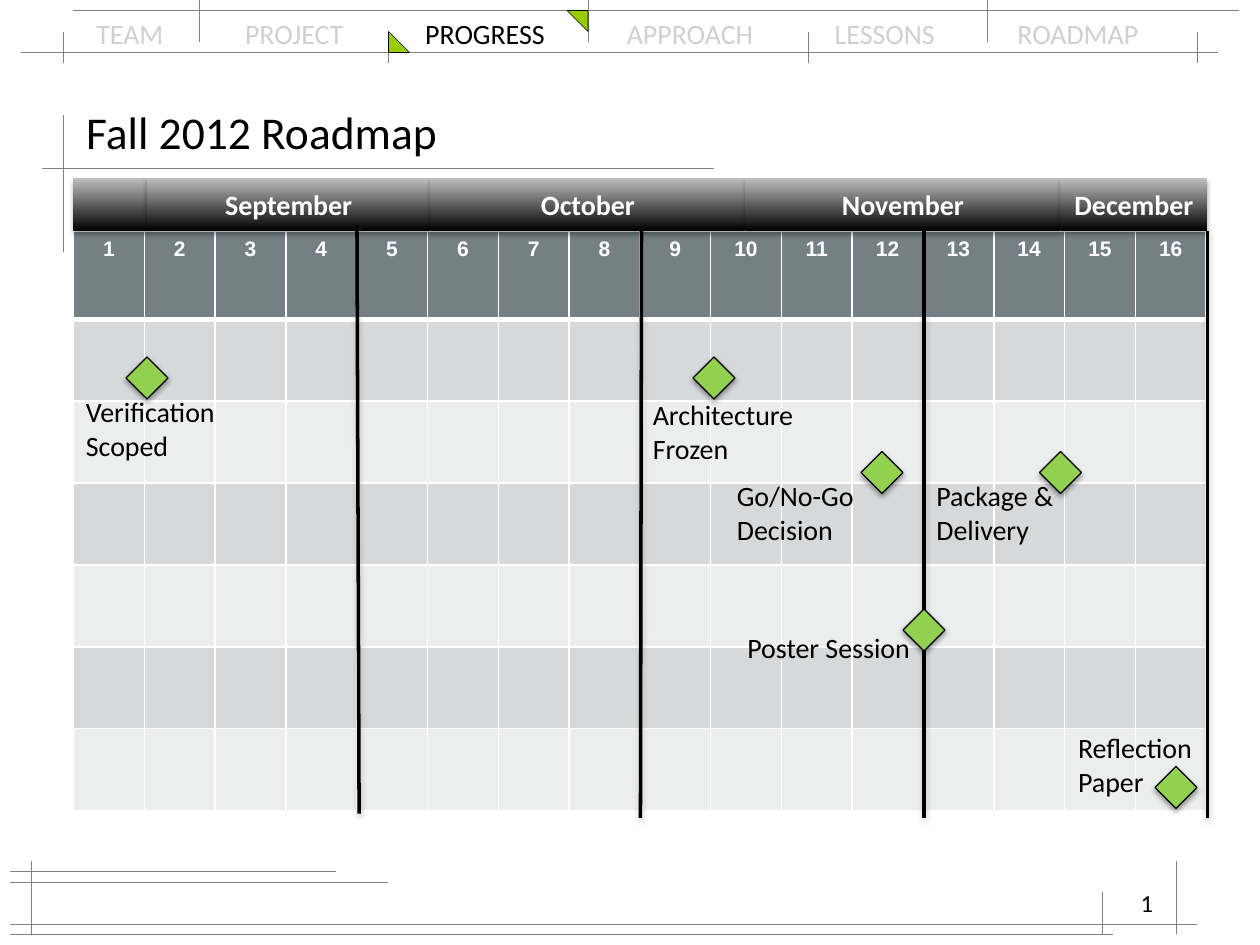
from typing import NamedTuple

from lxml.etree import SubElement
from pptx import Presentation
from pptx.dml.color import RGBColor
from pptx.enum.shapes import MSO_CONNECTOR, MSO_SHAPE
from pptx.enum.text import MSO_ANCHOR as ANCHOR, PP_ALIGN as ALIGN
from pptx.oxml.ns import qn
from pptx.util import Emu, Inches, Pt

COLS, ROWS = 120, 90  # the slide grid: twelve steps to the inch
BLACK, WHITE, GREY, FADED = "000000", "FFFFFF", "808080", "D0D0D0"
LIME, GREEN = "99CC00", "92D050"
HEAD_FILL, BANDS = "758085", ("D6D8D9", "ECEDED")
WEEKS, TASK_ROWS = 16, 6


class Segment(NamedTuple):
    x1: float
    y1: float
    x2: float
    y2: float


class Month(NamedTuple):
    name: str
    col: float
    width: float


class Milestone(NamedTuple):
    label: str
    col: float
    row: float
    width: float
    diamond_col: float
    diamond_row: float


RULES = [
    Segment(2, 5, 116, 5), Segment(7, 1, 118, 1), Segment(4, 16, 68, 16),
    Segment(1, 84, 37, 84), Segment(1, 88, 114, 88), Segment(1, 83, 32, 83),
    Segment(1, 89, 106, 89), Segment(6, 11, 6, 24), Segment(3, 82, 3, 89),
    Segment(112, 82, 112, 89), Segment(105, 85, 105, 89),
    *(Segment(x, 3, x, 6) for x in (6, 37, 77, 114)),
    *(Segment(x, 0, x, 4) for x in (19, 56, 94)),
]
DIVIDERS = [
    Segment(34, 21.5, 34.2, 77.5), Segment(61.1, 22, 61, 77.9),
    Segment(88, 22, 88, 77.9), Segment(115, 22, 115, 77.9),
]
MONTHS = [
    Month("", 7, 7), Month("September", 14, 27), Month("October", 41, 30),
    Month("November", 71, 30), Month("December", 101, 14),
]
MILESTONES = [
    Milestone("Verification\nScoped", 7, 37, 18, 12, 34),
    Milestone("Architecture\nFrozen", 61, 37.3, 18, 66, 34),
    Milestone("Go/No-Go\nDecision", 69, 45, 15.4, 82, 43),
    Milestone("Package &\nDelivery", 88, 45, 14, 99, 43),
    Milestone("Poster Session", 70, 59.5, 21, 86, 58),
    Milestone("Reflection\nPaper", 101.5, 69, 13.5, 110, 73),
]
NAV = ["TEAM", "PROJECT", "PROGRESS", "APPROACH", "LESSONS", "ROADMAP"]
NAV_TABS = [1.18, 2.61, 4.21, 5.86, 7.31]  # inches from the text edge


def grid(*steps: float) -> list[Emu]:
    return [Emu(round(n * Inches(1) / 12)) for n in steps]


def rgb(color: str) -> RGBColor:
    return RGBColor.from_string(color)


def format_font(font, size=16, color=BLACK, bold=False, name="Calibri") -> None:
    font.size, font.bold, font.name = Pt(size), bold, name
    font.color.rgb = rgb(color)


def write(tf, text: str, align=ALIGN.LEFT, anchor=ANCHOR.TOP, **font) -> None:
    """Fill a text frame, one paragraph to each line of text."""
    tf.word_wrap, tf.vertical_anchor = True, anchor
    for i, line in enumerate(text.split("\n")):
        p = tf.paragraphs[0] if i == 0 else tf.add_paragraph()
        p.alignment = align
        r = p.add_run()
        r.text = line
        format_font(r.font, **font)


def add_text(s, text: str, box: tuple, **kwargs) -> None:
    write(s.shapes.add_textbox(*grid(*box)).text_frame, text, **kwargs)


def set_shadow(sp, color=BLACK, alpha=38, blur=3.1, dist=1.6) -> None:
    effects = SubElement(sp._element.spPr, qn("a:effectLst"))
    shadow = SubElement(effects, qn("a:outerShdw"), blurRad=str(Pt(blur)),
                        dist=str(Pt(dist)), dir="5400000", rotWithShape="0")
    clr = SubElement(shadow, qn("a:srgbClr"), val=color)
    SubElement(clr, qn("a:alpha"), val=str(alpha * 1000))


def add_line(s, seg: Segment, color: str, width: float, shadow=False) -> None:
    line = s.shapes.add_connector(MSO_CONNECTOR.STRAIGHT, *grid(*seg))
    line.line.color.rgb, line.line.width = rgb(color), Pt(width)
    if shadow:
        set_shadow(line, GREY)
    else:
        SubElement(line._element.spPr, qn("a:effectLst"))


def add_marker(s, kind, box: tuple, fill: str, width: float):
    sp = s.shapes.add_shape(kind, *grid(*box))
    sp.fill.solid()
    sp.fill.fore_color.rgb = rgb(fill)
    sp.line.color.rgb, sp.line.width = rgb(BLACK), Pt(width)
    return sp


def add_nav(s) -> None:
    tf = s.shapes.add_textbox(*grid(8, 1, 104, 4.4)).text_frame
    tf.word_wrap = True
    p = tf.paragraphs[0]
    tabs = SubElement(p._p.get_or_add_pPr(), qn("a:tabLst"))
    for stop in NAV_TABS:
        SubElement(tabs, qn("a:tab"), pos=str(Inches(stop)), algn="l")
    for i, name in enumerate(NAV):
        r = p.add_run()
        r.text = name if i == 0 else "\t" + name
        format_font(r.font, color=BLACK if name == "PROGRESS" else FADED)
    for x, y, turn in ((37, 3, 0), (54, 1, 180)):
        sp = add_marker(s, MSO_SHAPE.RIGHT_TRIANGLE, (x, y, 2, 2), LIME, 0.3)
        sp.rotation = turn
        sp.shadow.inherit = False


def set_borders(cell, top: float, bottom: float) -> None:
    tcPr = cell._tc.get_or_add_tcPr()
    for side, width in zip("LRTB", (1, 1, top, bottom)):
        ln = SubElement(tcPr, qn(f"a:ln{side}"), w=str(Pt(width)))
        fill = SubElement(ln, qn("a:solidFill"))
        SubElement(fill, qn("a:srgbClr"), val=WHITE)


def add_schedule(s) -> None:
    frame = s.shapes.add_table(TASK_ROWS + 1, WEEKS, *grid(7, 22, 107.9, 55.6))
    table = frame.table
    for i, row in enumerate(table.rows):
        row.height = Inches(0.65 if i else 0.7)
        for j, cell in enumerate(row.cells):
            set_borders(cell, 3 if i == 1 else 1, 1 if i else 3)
            cell.fill.solid()
            cell.fill.fore_color.rgb = rgb(BANDS[(i - 1) % 2] if i else HEAD_FILL)
            if i == 0:
                write(cell.text_frame, str(j + 1), align=ALIGN.CENTER, size=12,
                      color=WHITE, bold=True, name="Arial")


def add_month(s, month: Month) -> None:
    sp = s.shapes.add_shape(MSO_SHAPE.RECTANGLE, *grid(month.col, 17, month.width, 5))
    sp.fill.gradient()
    sp.fill.gradient_angle = 90
    for stop, color in zip(sp.fill.gradient_stops, (BLACK, "BDBDBD")):
        stop.color.rgb = rgb(color)
    sp.line.fill.background()
    set_shadow(sp, alpha=35, dist=1.8)
    if month.name:
        write(sp.text_frame, month.name, align=ALIGN.CENTER, anchor=ANCHOR.MIDDLE,
              color=WHITE, bold=True)


def add_milestone(s, m: Milestone) -> None:
    box = (m.diamond_col, m.diamond_row, 4, 4)
    set_shadow(add_marker(s, MSO_SHAPE.DIAMOND, box, GREEN, 0.75))
    height = 7.7 if "\n" in m.label else 4.4
    add_text(s, m.label, (m.col, m.row, m.width, height))


def main() -> None:
    prs = Presentation()
    prs.slide_width, prs.slide_height = grid(COLS, ROWS)
    s = prs.slides.add_slide(prs.slide_layouts[5])
    title = s.shapes.title
    title.left, title.top, title.width, title.height = grid(7, 9, 106, 7)
    write(title.text_frame, "Fall 2012 Roadmap", anchor=ANCHOR.MIDDLE, size=26)
    for rule in RULES:
        add_line(s, rule, GREY, 0.3)
    add_nav(s)
    add_schedule(s)
    for month in MONTHS:
        add_month(s, month)
    for divider in DIVIDERS:
        add_line(s, divider, BLACK, 2, shadow=True)
    for milestone in MILESTONES:
        add_milestone(s, milestone)
    add_text(s, "1", (86, 84, 25, 6), align=ALIGN.RIGHT, size=14)
    prs.save("out.pptx")


if __name__ == "__main__":
    main()
